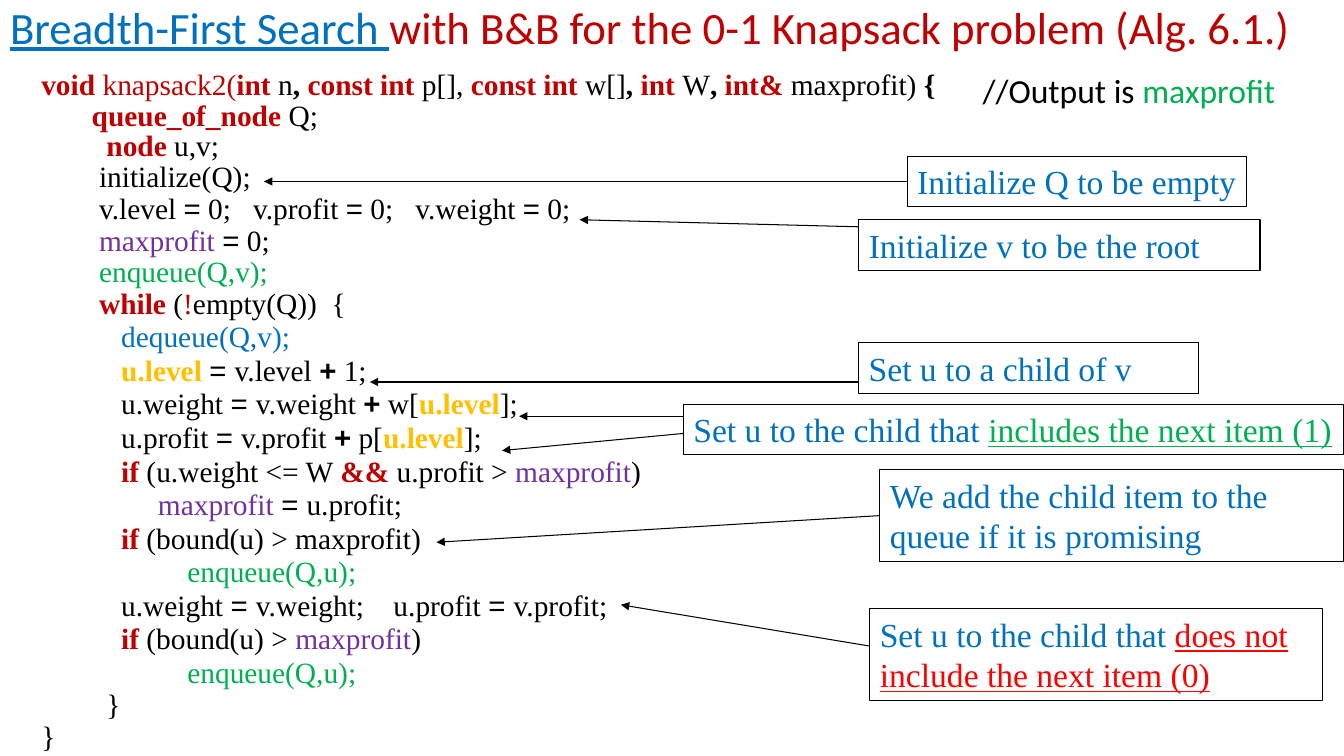
from dataclasses import dataclass
from typing import NamedTuple

import lxml.etree
import pptx
import pptx.dml.color
import pptx.enum.shapes
import pptx.enum.text
import pptx.oxml.ns
import pptx.util

COLS, ROWS = 133.33, 75
CELL = pptx.util.Inches(0.1)
SERIF, SANS, PLAIN = "Times New Roman", "Calibri", "Arial"
HUES = {
    "black": "000000", "blue": "0070C0", "brick": "C00000", "red": "FF0000",
    "green": "00B050", "plum": "7030A0", "gold": "FFC000",
}


class Style(NamedTuple):
    hue: str
    bold: bool = False
    under: bool = False
    face: str = ""


STYLES = {
    "t": Style("black"),
    "b": Style("black", bold=True),
    "k": Style("brick", bold=True),
    "r": Style("brick"),
    "m": Style("plum"),
    "g": Style("green"),
    "c": Style("blue"),
    "y": Style("gold", bold=True),
    "=": Style("black", face=PLAIN),
    "+": Style("black", bold=True, face=PLAIN),
    "C": Style("blue", under=True),
    "G": Style("green", under=True),
    "R": Style("red", under=True),
}


class Line(NamedTuple):
    text: str
    lead: float = 0.95
    space: int = 4
    level: int = 1


@dataclass
class Arrow:
    start: float
    tip: tuple[float, float]
    joined: bool = False


@dataclass
class Note:
    text: str
    place: tuple[float, float, float, float]
    arrows: list[Arrow]


CODE = [
    Line("^kvoid ^rknapsack2(^kint ^tn^b, ^kconst int ^tp[], ^kconst int ^tw[]^b, "
         "^kint ^tW^b, ^kint& ^tmaxprofit) ^b{", 0.9, 0, 0),
    Line("^kqueue_of_node^t Q;", 0.85, 0),
    Line("^knode ^tu,v;", 0.85, 2),
    Line("^tinitialize(Q);", 0.9, 1),
    Line("^tv.level ^==^t 0;   v.profit ^==^t 0;   v.weight ^==^t 0;", 0.9, 1),
    Line("^mmaxprofit ^==^t 0;", 0.9, 1),
    Line("^genqueue(Q,v);", 0.9, 1),
    Line("^kwhile ^t(^r!^tempty(Q))  {", 0.9, 1),
    Line("^cdequeue(Q,v);"),
    Line("^yu.level ^== ^tv.level ^++^t 1;"),
    Line("^tu.weight ^== ^tv.weight ^++^t w[^yu.level^t];"),
    Line("^tu.profit ^== ^tv.profit ^++^t p[^yu.level^t];"),
    Line("^kif^t (u.weight <= W ^k&& ^tu.profit > ^mmaxprofit^t)"),
    Line("^mmaxprofit ^== ^tu.profit;", space=9),
    Line("^kif ^t(bound(u) > maxprofit)"),
    Line("^genqueue(Q,u);", space=13),
    Line("^tu.weight ^== ^tv.weight;    u.profit ^== ^tv.profit;"),
    Line("^kif ^t(bound(u) > ^mmaxprofit^t)"),
    Line("^genqueue(Q,u);", space=13),
    Line("^t}", 0.9, 2),
    Line("^t}", 0.9, 0, 0),
]

NOTES = [
    Note("^cInitialize Q to be empty", (90, 15.5, 33.7, 5),
         [Arrow(18, (26.2, 18), True)]),
    Note("^cInitialize v to be the root", (85.2, 21.8, 39.8, 5),
         [Arrow(22.5, (57.5, 21.8))]),
    Note("^cSet u to a child of v", (85.2, 34, 33.7, 5),
         [Arrow(37.9, (36.7, 37.9))]),
    Note("^cSet u to the child that ^Gincludes the next item (1)", (67.8, 40.1, 65.5, 5),
         [Arrow(41.3, (51.5, 41.3)), Arrow(43, (49.8, 44.7))]),
    Note("^cSet u to the child that ^Rdoes not include the next item (0)",
         (86.3, 60.4, 44.9, 9.1), [Arrow(64.1, (61.6, 60))]),
    Note("^cWe add the child item to the queue if it is promising",
         (87.3, 46.6, 46, 9.1), [Arrow(51.2, (43.3, 53.8), True)]),
]


def grid(cells: float) -> int:
    return round(cells * CELL)


def tint(hue: str) -> pptx.dml.color.RGBColor:
    return pptx.dml.color.RGBColor.from_string(HUES[hue])


def put(shape, place: tuple[float, float, float, float]) -> None:
    shape.left, shape.top, shape.width, shape.height = map(grid, place)


def write(par, text: str, *, face: str = SERIF, size: float = 24,
          lead: float = 1.0) -> None:
    par.alignment = pptx.enum.text.PP_ALIGN.LEFT
    par.line_spacing = lead
    par.space_before = pptx.util.Pt(0)
    for part in text.split("^")[1:]:
        style = STYLES[part[0]]
        run = par.add_run()
        run.text = part[1:]
        font = run.font
        font.name = style.face or face
        font.size = pptx.util.Pt(size)
        font.bold = style.bold
        font.underline = style.under
        font.color.rgb = tint(style.hue)


def label(slide, text: str, place: tuple[float, float, float, float], face: str = SERIF):
    box = slide.shapes.add_textbox(*map(grid, place))
    box.text_frame.word_wrap = True
    box.text_frame.margin_right = grid(0.5)
    write(box.text_frame.paragraphs[0], text, face=face)
    return box


def point(slide, box, left: float, arrow: Arrow) -> None:
    wire = slide.shapes.add_connector(
        pptx.enum.shapes.MSO_CONNECTOR.STRAIGHT,
        grid(left), grid(arrow.start), *map(grid, arrow.tip))
    if arrow.joined:
        wire.begin_connect(box, 1)
    wire.line.color.rgb = tint("black")
    wire.line.width = pptx.util.Pt(0.75)
    mark = pptx.oxml.ns.qn
    lxml.etree.SubElement(wire.line._get_or_add_ln(), mark("a:tailEnd"), type="triangle")
    lxml.etree.SubElement(wire._element.spPr, mark("a:effectLst"))


def draw_note(slide, note: Note) -> None:
    box = label(slide, note.text, note.place)
    box.line.color.rgb = tint("black")
    box.line.width = pptx.util.Pt(0.75)
    for arrow in note.arrows:
        point(slide, box, note.place[0], arrow)


def draw_code(body) -> None:
    put(body, (3.6, 6.5, 90.2, 67.8))
    frame = body.text_frame
    frame.auto_size = pptx.enum.text.MSO_AUTO_SIZE.NONE
    frame.word_wrap = True
    frame.margin_left = frame.margin_top = frame.margin_bottom = grid(0.5)
    frame.margin_right = 0
    for row, line in enumerate(CODE):
        par = frame.add_paragraph() if row else frame.paragraphs[0]
        par.level = line.level
        write(par, line.text, size=21, lead=line.lead)
        props = par._p.get_or_add_pPr()
        props.set("marL", str(grid(5 * line.level + 0.73 * line.space)))
        props.set("indent", "0")
        lxml.etree.SubElement(props, pptx.oxml.ns.qn("a:buNone"))


def main() -> None:
    deck = pptx.Presentation()
    deck.slide_width, deck.slide_height = grid(COLS), grid(ROWS)
    slide = deck.slides.add_slide(deck.slide_layouts[1])
    title, body = slide.placeholders
    put(title, (0, -0.1, 130.9, 6.1))
    title.text_frame.auto_size = pptx.enum.text.MSO_AUTO_SIZE.NONE
    title.text_frame.vertical_anchor = pptx.enum.text.MSO_ANCHOR.MIDDLE
    write(title.text_frame.paragraphs[0],
          "^CBreadth-First Search ^rwith B&B for the 0-1 Knapsack problem (Alg. 6.1.)",
          face=SANS, size=32, lead=0.9)
    draw_code(body)
    for note in NOTES:
        draw_note(slide, note)
    label(slide, "^t//Output is ^gmaxprofit", (96.5, 6.4, 31.2, 5), SANS)
    deck.save("out.pptx")


if __name__ == "__main__":
    main()
